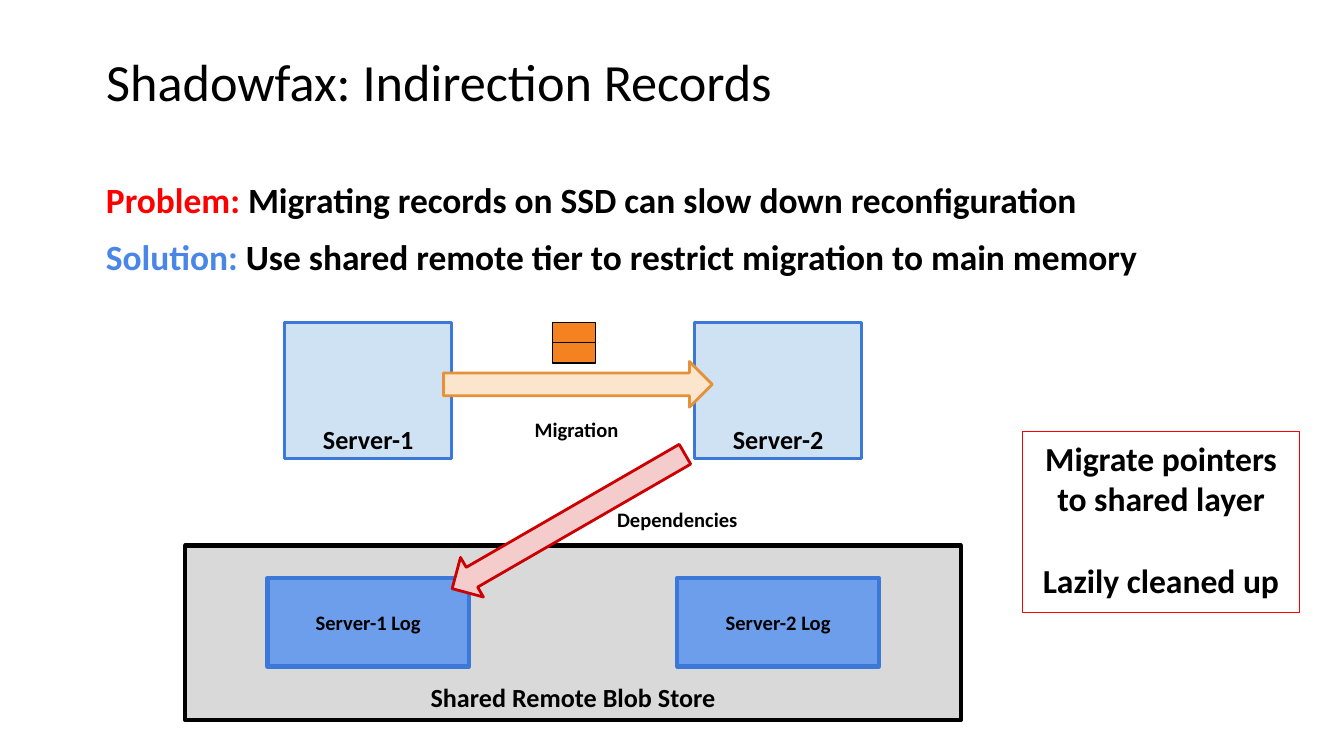
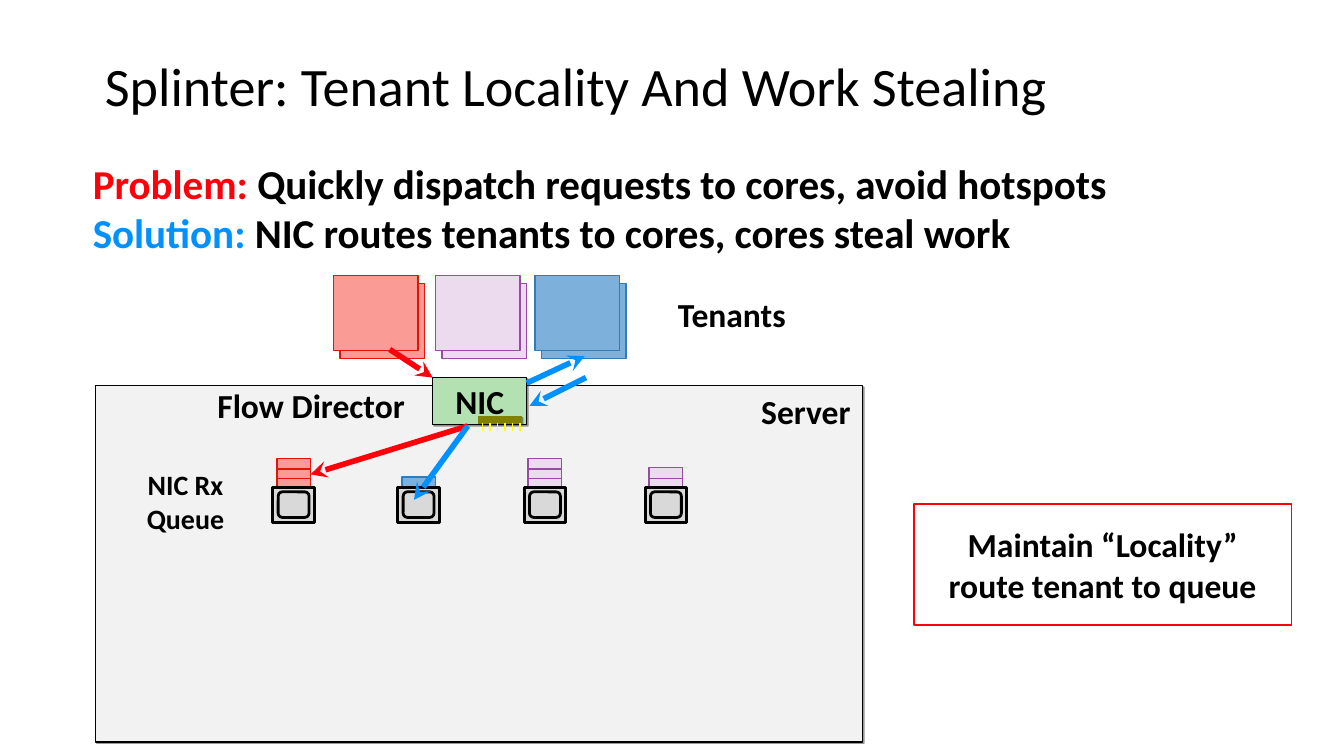
"""Build two slides on indirection records and on tenant locality."""
import lxml.etree
import pptx
import pptx.dml.color
import pptx.enum.shapes
import pptx.enum.text
import pptx.oxml.ns
import pptx.util

Inches, Pt = pptx.util.Inches, pptx.util.Pt
RGB = pptx.dml.color.RGBColor.from_string
SHAPE = pptx.enum.shapes.MSO_SHAPE
ALIGN = pptx.enum.text.PP_ALIGN
ANCHOR = pptx.enum.text.MSO_ANCHOR
qn = pptx.oxml.ns.qn


class Theme:
    font = "Calibri"
    title, title_wide, lead, lead_wide = 28, 29, 19, 22
    callout, label, queue_label, small = 18, 14, 15, 11
    black, white, grey, pale_grey = "000000", "FFFFFF", "D9D9D9", "F2F2F2"
    red, blue = "FF0000", "4A86E8"
    vivid_red, vivid_blue = "FF000A", "0091FF"
    server, server_line, log = "CFE2F3", "3C78D8", "6D9EEB"
    record = "F58220"
    migration = ("FCE5CD", "E69138")
    dependency = ("F4CCCC", "CC0000")
    red_tenant = ("FB9B96", "E61408")
    purple_tenant = ("ECDAEE", "994AA4")
    blue_tenant = ("7DB1DC", "327CB9")
    nic, chip, pin = "B4E1B2", "818100", "FEFF04"


def box(s, kind, at, fill=None, line=None, width=0.75, shadow=False):
    """Add a shape, or a text box when kind is None."""
    at = [Inches(v) for v in at]
    if kind is None:
        return s.shapes.add_textbox(*at)
    sp = s.shapes.add_shape(kind, *at)
    sp.shadow.inherit = False
    if fill:
        sp.fill.solid()
        sp.fill.fore_color.rgb = RGB(fill)
    else:
        sp.fill.background()
    sp.line.color.rgb = RGB(line)
    sp.line.width = Pt(width)
    if shadow:
        effects = sp._element.spPr.find(qn("a:effectLst"))
        outer = lxml.etree.SubElement(effects, qn("a:outerShdw"), dist="12700", dir="2700000")
        color = lxml.etree.SubElement(outer, qn("a:srgbClr"), val=Theme.black)
        lxml.etree.SubElement(color, qn("a:alpha"), val="40000")
    return sp


def write(sp, paras, size, bold=True, align=ALIGN.CENTER, anchor=ANCHOR.TOP,
          inset=(0.1, 0.05, 0.1, 0.05), spacing=None, before=0):
    """Fill a shape with paragraphs, each a string or a list of (text, colour) runs."""
    tf = sp.text_frame
    sides = ("margin_left", "margin_top", "margin_right", "margin_bottom")
    frame = dict(zip(sides, map(Inches, inset)), word_wrap=True, vertical_anchor=anchor,
                 auto_size=pptx.enum.text.MSO_AUTO_SIZE.NONE)
    for key, value in frame.items():
        setattr(tf, key, value)
    for i, runs in enumerate(paras):
        p = tf.add_paragraph() if i else tf.paragraphs[0]
        p.alignment = align
        if spacing:
            p.line_spacing = spacing
        if i and before:
            p.space_before = Pt(before)
        for text, color in [(runs, Theme.black)] if isinstance(runs, str) else runs:
            r = p.add_run()
            r.text = text
            for key, value in dict(name=Theme.font, size=Pt(size), bold=bold).items():
                setattr(r.font, key, value)
            r.font.color.rgb = RGB(color)


prs = pptx.Presentation()
prs.slide_width = Inches(10)
prs.slide_height = prs.slide_width * 9 // 16

pages = [
    dict(title="Shadowfax: Indirection Records", size=Theme.title, at=(0.69, 0.22, 8.62, 0.82),
         inset=0.1, lead_at=(0.69, 1.31, 8.62, 0.74), colors=(Theme.red, Theme.blue),
         lead=("Migrating records on SSD can slow down reconfiguration",
               "Use shared remote tier to restrict migration to main memory"),
         lead_format=dict(size=Theme.lead, spacing=0.9, before=10)),
    dict(title="Splinter: Tenant Locality And Work Stealing", size=Theme.title_wide,
         at=(0.69, 0.12, 8.62, 1.09), inset=0.09, lead_at=(0.69, 1.18, 8.62, 3.57),
         colors=(Theme.vivid_red, Theme.vivid_blue),
         lead=("Quickly dispatch requests to cores, avoid hotspots",
               "NIC routes tenants to cores, cores steal work"),
         lead_format=dict(size=Theme.lead_wide, inset=(0, 0, 0, 0))),
]
for page in pages:
    s = prs.slides.add_slide(prs.slide_layouts[5])
    title = s.shapes.title
    for key, value in zip(("left", "top", "width", "height"), page["at"]):
        setattr(title, key, Inches(value))
    write(title, [page["title"]], page["size"], bold=False, align=ALIGN.LEFT,
          anchor=ANCHOR.MIDDLE, inset=(page["inset"], 0.05, page["inset"], 0.05), spacing=0.9)
    lead = [[(head, color), (text, Theme.black)] for head, color, text
            in zip(("Problem: ", "Solution: "), page["colors"], page["lead"])]
    write(box(s, None, page["lead_at"]), lead, align=ALIGN.LEFT, **page["lead_format"])

s = prs.slides[0]
sp = box(s, SHAPE.RECTANGLE, (7.61, 3.21, 2.06, 1.35), line=Theme.red)
write(sp, ["Migrate pointers to shared layer", "Lazily cleaned up"], Theme.callout, before=22)

sp = box(s, SHAPE.RECTANGLE, (1.38, 4.06, 5.77, 1.3), Theme.grey, Theme.black, 2.25)
write(sp, ["Shared Remote Blob Store"], Theme.label, anchor=ANCHOR.BOTTOM,
      inset=(0.1, 0.1, 0.1, 0.06))
for i, name in enumerate(("Server-1", "Server-2")):
    dx = 3.05 * i
    sp = box(s, SHAPE.RECTANGLE, (2.12 + dx, 2.4, 1.24, 1.01),
             Theme.server, Theme.server_line, 1.5)
    write(sp, [name], Theme.label, anchor=ANCHOR.BOTTOM, inset=(0.1, 0.1, 0.1, 0.03))
    sp = box(s, SHAPE.RECTANGLE, (1.99 + dx, 4.3, 1.5, 0.66), Theme.log, Theme.server_line, 2.25)
    write(sp, [name + " Log"], Theme.small, anchor=ANCHOR.MIDDLE)
    box(s, SHAPE.RECTANGLE, (4.11, 2.4 + 0.15 * i, 0.32, 0.15), Theme.record, Theme.black)

flows = [("Migration", (3.3, 2.69), 0, Theme.migration, (3.54, 3.02)),
         ("Dependencies", (3.23, 3.71), 150, Theme.dependency, (4.29, 3.69))]
for name, corner, angle, colors, label_corner in flows:
    sp = box(s, SHAPE.RIGHT_ARROW, (*corner, 2, 0.34), *colors, 1.5)
    sp.rotation = angle
    write(box(s, None, (*label_corner, 1.5, 0.35)), [name], Theme.small, anchor=ANCHOR.MIDDLE)

s = prs.slides[1]
inset = (0.09, 0.04, 0.09, 0.04)
sp = box(s, SHAPE.RECTANGLE, (0.71, 2.87, 5.71, 2.65), Theme.pale_grey, Theme.black, shadow=True)
write(sp, ["Server"], Theme.callout, align=ALIGN.RIGHT, inset=inset)
sp = box(s, SHAPE.RECTANGLE, (6.8, 3.75, 2.81, 0.9), Theme.white, Theme.vivid_red)
write(sp, ["Maintain “Locality”", "route tenant to queue"], Theme.callout, anchor=ANCHOR.MIDDLE)

labels = [("Flow Director", (1.52, 2.82, 1.59, 0.39), Theme.callout),
          ("NIC Rx Queue", (0.72, 3.44, 1.32, 0.33), Theme.queue_label),
          ("Tenants", (4.9, 2.15, 1.09, 0.39), Theme.callout)]
for text, at, size in labels:
    write(box(s, None, at), [text], size, inset=inset)

tenants = [(2.48, Theme.red_tenant), (3.24, Theme.purple_tenant), (3.98, Theme.blue_tenant)]
for x, colors in tenants:
    for dx, dy in ((0.05, 0.06), (0, 0)):
        box(s, SHAPE.RECTANGLE, (x + dx, 2.05 + dy, 0.63, 0.56), *colors)

cores = [(2.03, 4, Theme.red_tenant), (2.96, 2, Theme.blue_tenant),
         (3.9, 4, Theme.purple_tenant), (4.8, 3, Theme.purple_tenant)]
for x, queued, colors in cores:
    for i in range(queued):
        box(s, SHAPE.RECTANGLE, (x + 0.03, 3.62 - 0.07 * i, 0.25, 0.08), *colors)
    box(s, SHAPE.RECTANGLE, (x, 3.63, 0.31, 0.26), Theme.grey, Theme.black, 1.5)
    box(s, SHAPE.ROUNDED_RECTANGLE, (x + 0.04, 3.66, 0.23, 0.19), Theme.grey, Theme.black, 1.5)

sp = box(s, SHAPE.RECTANGLE, (3.22, 2.81, 0.7, 0.35), Theme.nic, Theme.black, shadow=True)
write(sp, ["NIC"], Theme.callout, anchor=ANCHOR.MIDDLE, inset=(0.09, 0.05, 0.09, 0.05))
box(s, SHAPE.RECTANGLE, (3.56, 3.1, 0.32, 0.05), Theme.chip, Theme.chip, shadow=True)

pins = [(x, 3.15, x, 3.21, Theme.pin, 0.75) for x in (3.59 + 0.28 * i / 5 for i in range(6))]
arrows = [(3.48, 3.17, 2.31, 3.53, Theme.vivid_red, 3),
          (2.9, 2.6, 3.22, 2.81, Theme.vivid_red, 3),
          (3.92, 2.85, 4.35, 2.65, Theme.vivid_blue, 3),
          (4.36, 2.81, 3.94, 3.02, Theme.vivid_blue, 3),
          (3.48, 3.17, 3.08, 3.72, Theme.vivid_blue, 3)]
for *ends, color, width in pins + arrows:
    c = s.shapes.add_connector(pptx.enum.shapes.MSO_CONNECTOR.STRAIGHT, *map(Inches, ends))
    c.line.color.rgb = RGB(color)
    c.line.width = Pt(width)
    props = c._element.spPr
    if color != Theme.pin:
        lxml.etree.SubElement(props.find(qn("a:ln")), qn("a:tailEnd"), type="stealth")
    lxml.etree.SubElement(props, qn("a:effectLst"))

prs.save("out.pptx")
